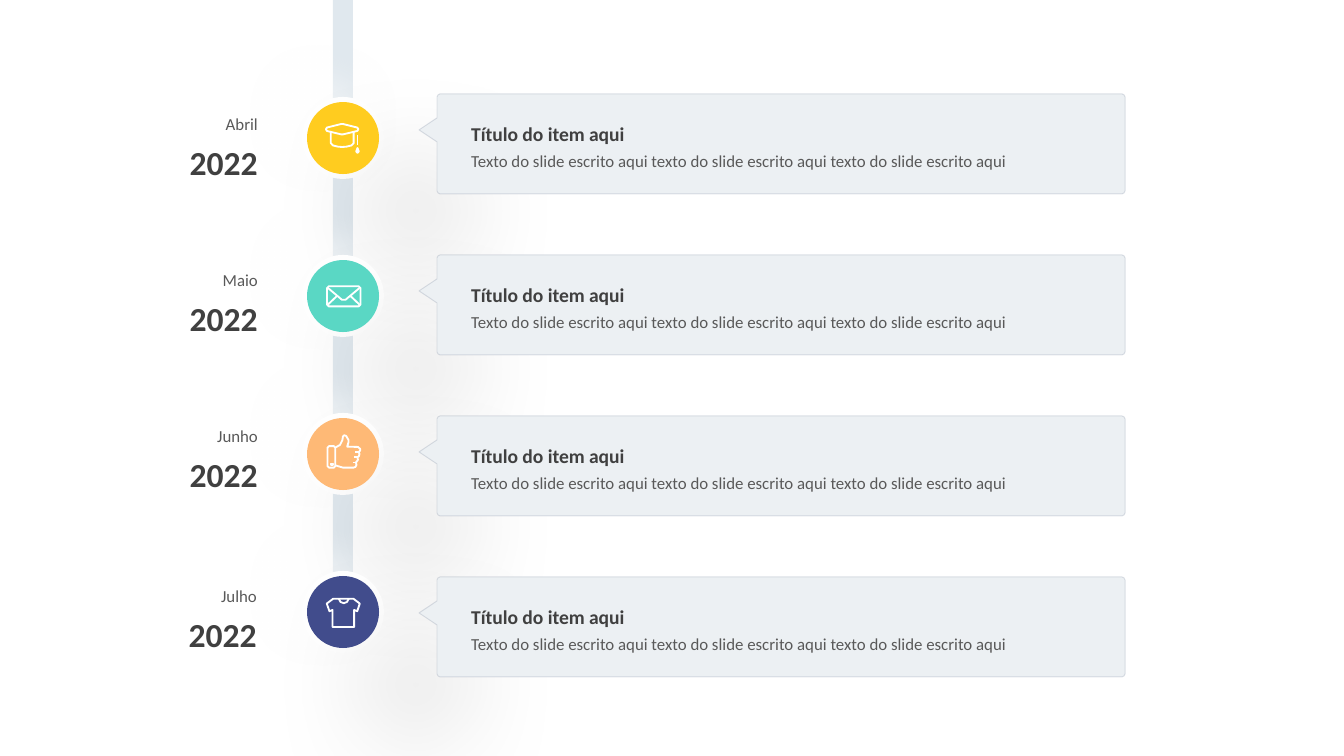
from lxml.etree import SubElement
from pptx import Presentation
from pptx.dml.color import RGBColor
from pptx.enum.shapes import MSO_SHAPE as Shape
from pptx.enum.text import PP_ALIGN as Align
from pptx.oxml.ns import qn
from pptx.util import Emu, Pt

PX = 914400 / 134.4
FONT = "Calibri"
DARK, GREY, WHITE = "404040", "595959", "FFFFFF"
BODY = " ".join(["texto do slide escrito aqui"] * 3).capitalize()

# Icon strokes: (closed, points), in tenths of a px from the circle's centre
CAP = [
    (True, [(-170, -88), (-160, -104), (-16, -140), (0, -140), (144, -104),
            (154, -88), (144, -70), (0, -36), (-16, -36), (-160, -70)]),
    (False, [(-122, -60), (-122, 52), (-100, 75), (-50, 87), (-8, 90),
             (34, 87), (84, 75), (106, 52), (106, -60)]),
    (False, [(145, -30), (145, 70)]),
    (True, [(145, 100), (132, 135), (145, 148), (158, 135)]),
]
ENVELOPE = [
    (True, [(-160, -78), (-142, -97), (157, -97), (175, -78),
            (175, 86), (157, 104), (-142, 104), (-160, 86)]),
    (False, [(-150, -80), (-10, 38), (25, 38), (165, -80)]),
    (False, [(-150, 85), (-60, 0)]),
    (False, [(165, 85), (75, 0)]),
]
THUMB = [
    (True, [(-155, -62), (-140, -78), (-90, -78), (-77, -62), (-77, 122),
            (-90, 137), (-140, 137), (-155, 122)]),
    (True, [(-116, 96), (-104, 96), (-104, 108), (-116, 108)]),
    (False, [(-74, -65), (-30, -90), (-5, -140), (0, -175), (12, -187),
             (32, -180), (55, -140), (55, -115), (42, -73), (150, -70),
             (172, -50), (172, -35), (158, -17), (165, 0), (160, 22),
             (145, 33), (150, 60), (130, 85), (135, 110), (125, 130),
             (105, 137), (0, 137), (-74, 115)]),
    (False, [(120, -17), (158, -17)]),
    (False, [(110, 33), (145, 33)]),
    (False, [(100, 85), (130, 85)]),
]
SHIRT = [
    (True, [(-97, -133), (105, -133), (168, -84), (143, -8), (112, -20),
            (112, 150), (-104, 150), (-104, -20), (-135, -8), (-162, -84)]),
    (False, [(-42, -133), (-25, -100), (8, -88), (40, -100), (58, -133)]),
]

# Month, left and top of the date, circle colour, icon
ITEMS = [
    ("Abril", 106, 99, "FFCC1F", CAP),
    ("Maio", 106, 255, "5AD7C4", ENVELOPE),
    ("Junho", 106, 411, "FEB976", THUMB),
    ("Julho", 105, 571, "414C8C", SHIRT),
]


def px(value):
    return Emu(round(value * PX))


def color(value):
    return RGBColor.from_string(value)


def add_solid(page, kind, left, top, width, height, fill):
    shape = page.shapes.add_shape(kind, px(left), px(top), px(width), px(height))
    shape.shadow.inherit = False
    shape.fill.solid()
    shape.fill.fore_color.rgb = color(fill)
    shape.line.fill.background()
    return shape


def add_shadow(shape, tint, alpha, blur, distance, angle):
    effects = shape._element.spPr.find(qn("a:effectLst"))
    shadow = SubElement(effects, qn("a:outerShdw"), blurRad=str(Pt(blur)),
                        dist=str(Pt(distance)), dir=str(angle * 60000),
                        algn="ctr", rotWithShape="0")
    rgb = SubElement(shadow, qn("a:srgbClr"), val=tint)
    SubElement(rgb, qn("a:alpha"), val=str(alpha * 1000))


def add_outline(page, left, top, points, unit, closed=True):
    builder = page.shapes.build_freeform(*points[0], scale=PX * unit)
    builder.add_line_segments(points[1:], close=closed)
    shape = builder.convert_to_shape(px(left), px(top))
    shape.shadow.inherit = False
    return shape


def add_text(page, left, top, width, height, text, size, ink,
             bold=False, align=Align.LEFT, spacing=1.4):
    box = page.shapes.add_textbox(px(left), px(top), px(width), px(height))
    box.text_frame.word_wrap = True
    para = box.text_frame.paragraphs[0]
    para.text = text
    para.alignment = align
    para.line_spacing = spacing
    para.font.name = FONT
    para.font.size = Pt(size)
    para.font.bold = bold
    para.font.color.rgb = color(ink)


def add_node(page, x, y, fill, icon):
    """Circle with a white rim and a line icon, centred on x, y."""
    rim = add_solid(page, Shape.OVAL, x - 41, y - 41, 82, 82, WHITE)
    add_shadow(rim, WHITE, 50, 20, 15, 225)
    disc = add_solid(page, Shape.OVAL, x - 36, y - 36, 72, 72, fill)
    add_shadow(disc, "000000", 25, 63, 55, 45)
    for closed, points in icon:
        stroke = add_outline(page, x, y, points, 0.1, closed)
        stroke.fill.background()
        stroke.line.color.rgb = color(WHITE)
        stroke.line.width = Pt(1)


def add_date(page, left, top, month):
    add_text(page, left, top + 20, 165, 66, "2022", 18, DARK, True, Align.RIGHT)
    add_text(page, left + 15, top, 150, 40, month, 9, GREY, align=Align.RIGHT)


def add_card(page, left, top, width, height):
    """Callout with softened corners and a pointer on its left side."""
    points = [(3, 0), (width - 3, 0), (width - 1, 1), (width, 3),
              (width, height - 3), (width - 1, height - 1), (width - 3, height),
              (3, height), (1, height - 1), (0, height - 3),
              (0, 48), (-18, 36), (0, 24), (0, 3), (1, 1)]
    card = add_outline(page, left, top, points, 1)
    card.fill.solid()
    card.fill.fore_color.rgb = color("ECF0F3")
    card.line.color.rgb = color("2C4166")
    card.line.width = Pt(0.5)
    rgb = card.line._ln.find(".//" + qn("a:srgbClr"))
    SubElement(rgb, qn("a:alpha"), val="15000")
    add_text(page, left + 21, top + 50, 657, 34, BODY, 9, GREY, spacing=1.0)
    add_text(page, left + 21, top + 12, 642, 44, "Título do item aqui", 10.5, DARK, True)


def main():
    deck = Presentation()
    deck.slide_width, deck.slide_height = px(1344), px(756)
    page = deck.slides.add_slide(deck.slide_layouts[6])

    # Timeline bar and its nodes
    add_solid(page, Shape.RECTANGLE, 333, -1, 20, 613, "E0E8EE")
    for row, (month, left, top, fill, icon) in enumerate(ITEMS):
        add_node(page, 343, 138 + 158 * row, fill, icon)

    # Dates and cards, above the shadows of the nodes
    for row, (month, left, top, fill, icon) in enumerate(ITEMS):
        add_date(page, left, top, month)
        add_card(page, 437, 94 + 161 * row, 688, 100)

    deck.save("out.pptx")


if __name__ == "__main__":
    main()
